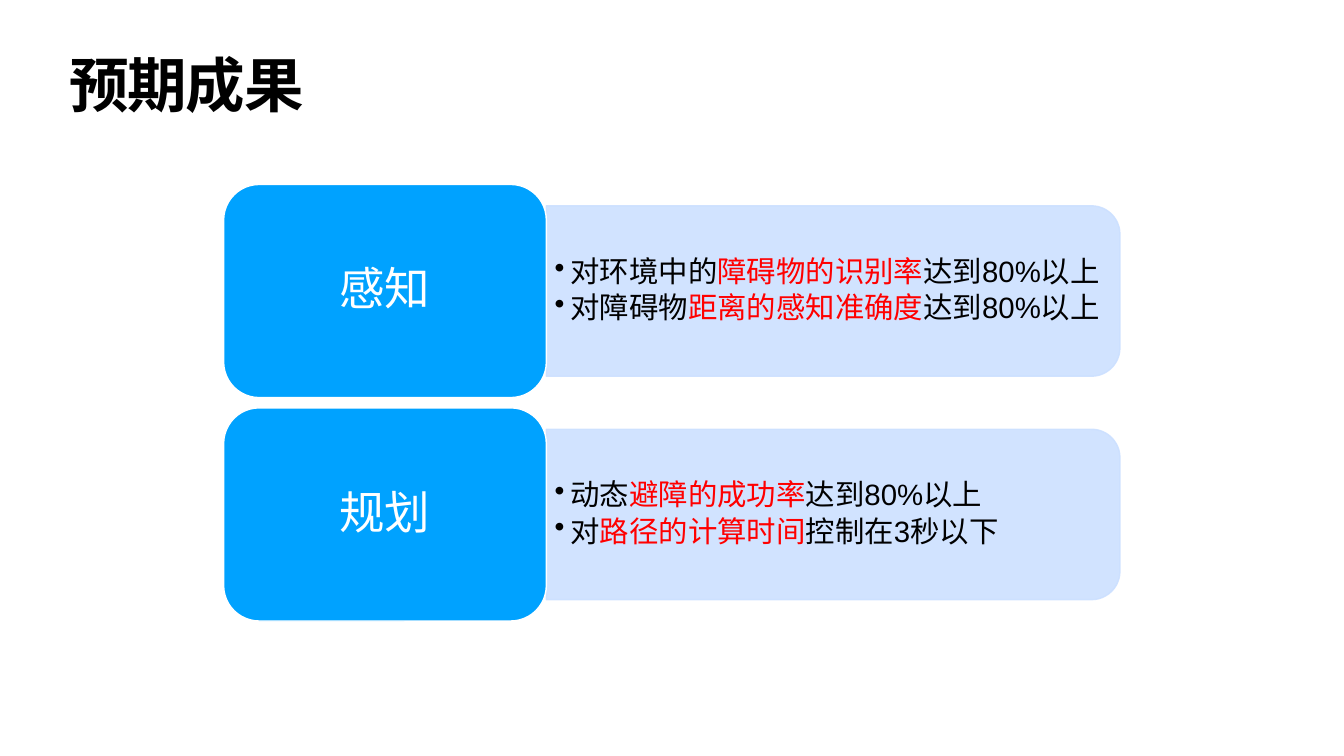
from pptx import Presentation
from pptx import util as u
from pptx.dml.color import RGBColor
from pptx.enum import shapes, text
from pptx.oxml.ns import qn
from lxml import etree

TITLE = "预期成果"
GOALS = [
    ("感知", [
        ("对环境中的", "障碍物的识别率", "达到80%以上"),
        ("对障碍物", "距离的感知准确度", "达到80%以上"),
    ]),
    ("规划", [
        ("动态", "避障的成功率", "达到80%以上"),
        ("对", "路径的计算时间", "控制在3秒以下"),
    ]),
]
THEME = dict(font="Arial", ink="000000", mark="FF0000", card="00A2FF",
             pale="CCE0FF", white="FFFFFF", title=85, label=65, body=42)
LEFT, TOP, STEP = 319.5, 263.5, 319.2
CARD_W, CARD_H = 461, 304.5
PANEL_W, PANEL_H = 819.4, 243.4
TEXT_W, TEXT_H = 807, 220


def rgb(name):
    return RGBColor.from_string(THEME[name])


def write(shape, lines, size, color="ink", bold=False, align="LEFT",
          anchor="MIDDLE", pad=(12, 6.5), lead=0.9, after=0, bullet=0, track=0):
    frame = shape.text_frame
    frame.word_wrap = True
    frame.vertical_anchor = text.MSO_ANCHOR[anchor]
    frame.margin_left = frame.margin_right = u.Pt(pad[0])
    frame.margin_top = frame.margin_bottom = u.Pt(pad[1])
    for i, line in enumerate(lines):
        para = frame.add_paragraph() if i else frame.paragraphs[0]
        para.alignment = text.PP_ALIGN[align]
        para.line_spacing = lead
        para.space_after = u.Pt(after)
        if bullet:
            props = para._p.get_or_add_pPr()
            props.set("marL", str(u.Pt(bullet)))
            props.set("indent", str(-u.Pt(bullet)))
            etree.SubElement(props, qn("a:buChar"), char="•")
        for j, words in enumerate(line):
            run = para.add_run()
            run.text = words
            font = run.font
            font.name, font.size, font.bold = THEME["font"], u.Pt(size), bold
            font.color.rgb = rgb("mark" if j == 1 else color)
            if track:
                run._r.get_or_add_rPr().set("spc", str(track))


def box(slide, x, y, w, h):
    return slide.shapes.add_textbox(u.Pt(x), u.Pt(y), u.Pt(w), u.Pt(h))


def block(slide, kind, x, y, w, h, fill, line, alpha=None):
    shape = slide.shapes.add_shape(
        shapes.MSO_SHAPE[kind], u.Pt(x), u.Pt(y), u.Pt(w), u.Pt(h))
    shape.shadow.inherit = False
    shape.fill.solid()
    shape.fill.fore_color.rgb = rgb(fill)
    shape.line.color.rgb = rgb(line)
    shape.line.width = u.Pt(2)
    if alpha:
        for tint in shape._element.spPr.iter(qn("a:srgbClr")):
            etree.SubElement(tint, qn("a:alpha"), val=str(alpha * 1000))
    return shape


def goal(slide, row, label, points):
    top = TOP + row * STEP
    mid = top + CARD_H / 2
    edge = LEFT + CARD_W
    panel = block(slide, "ROUND_2_SAME_RECTANGLE",
                  edge + (PANEL_W - PANEL_H) / 2, mid - PANEL_W / 2,
                  PANEL_H, PANEL_W, "pale", "pale", alpha=90)
    panel.rotation = 90
    write(box(slide, edge, mid - TEXT_H / 2, TEXT_W, TEXT_H), points,
          THEME["body"], after=6.3, bullet=22.5)
    card = block(slide, "ROUNDED_RECTANGLE", LEFT, top, CARD_W, CARD_H,
                 "card", "white")
    write(card, [(label,)], THEME["label"], color="white", align="CENTER",
          pad=(19.5, 10))


def main():
    deck = Presentation()
    deck.slide_width, deck.slide_height = u.Pt(1920), u.Pt(1080)
    slide = deck.slides.add_slide(deck.slide_layouts[6])
    write(box(slide, 95, 85, 1730, 113), [(TITLE,)], THEME["title"],
          bold=True, anchor="TOP", pad=(4, 4), lead=0.8, track=-170)
    for row, (label, points) in enumerate(GOALS):
        goal(slide, row, label, points)
    deck.save("out.pptx")


if __name__ == "__main__":
    main()
